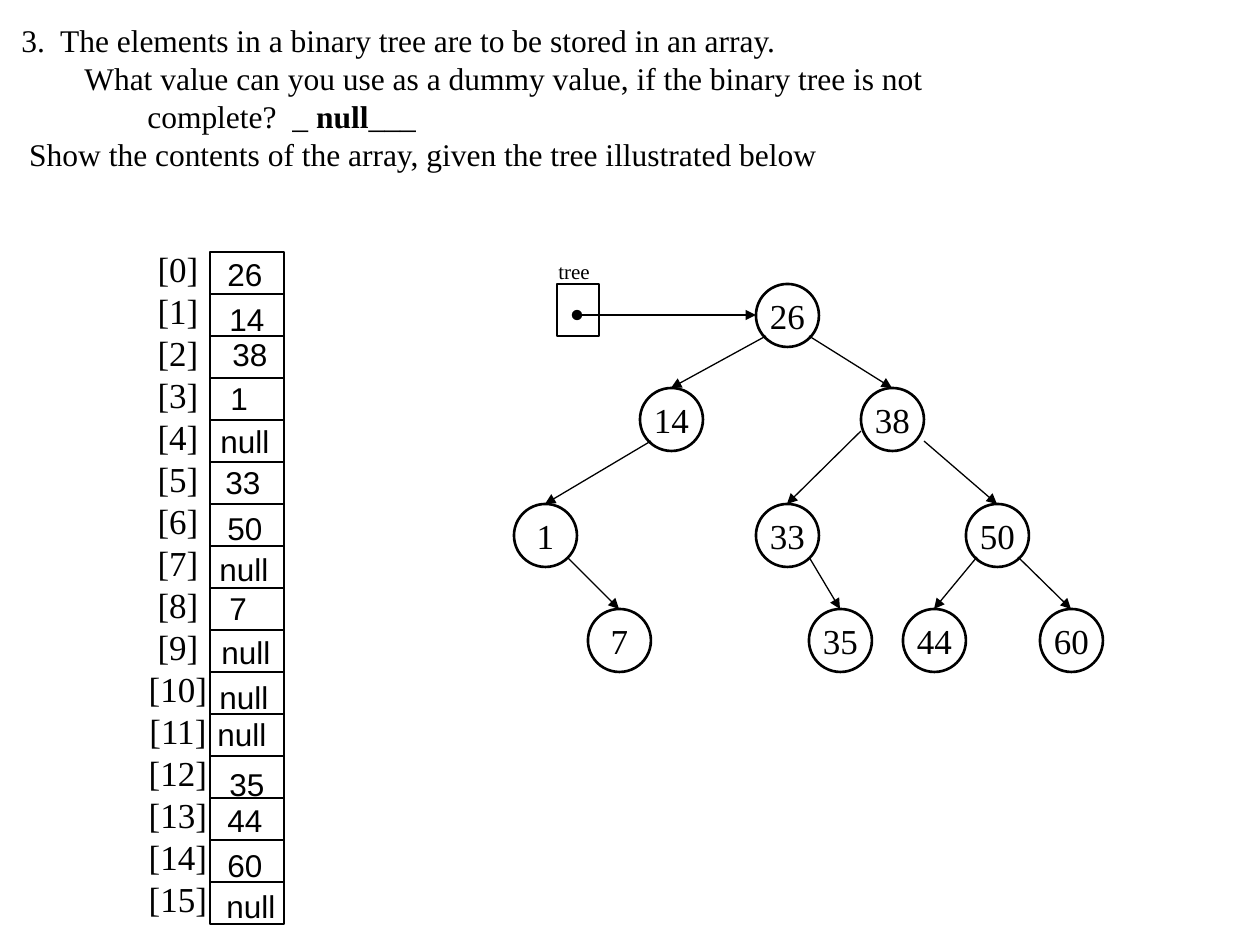
from lxml import etree
from pptx import Presentation
from pptx.dml.color import RGBColor
from pptx.enum.shapes import MSO_CONNECTOR, MSO_SHAPE
from pptx.enum.text import MSO_ANCHOR, PP_ALIGN
from pptx.oxml.ns import qn
from pptx.util import Emu, Inches, Pt

SCALE = 914400 / 126
COLORS = {"ink": "000000"}
SERIF, SANS = "Times New Roman", "Arial"


def px(length):
    """Turn pixels into EMU."""
    return Emu(round(length * SCALE))


class TreeSlide:
    """Style and drawing methods for one slide."""

    def __init__(self, slide):
        """Start drawing straight on the slide."""
        self.slide = slide
        self.shapes = slide.shapes
        self.ink = RGBColor.from_string(COLORS["ink"])

    def start_group(self):
        """Send the next elements into a new group."""
        self.shapes = self.slide.shapes.add_group_shape().shapes

    def end_group(self):
        """Send the next elements to the slide again."""
        self.shapes = self.slide.shapes

    def style(self, paragraph, size, font=SERIF, align=PP_ALIGN.LEFT):
        """Set the font and alignment of a paragraph."""
        paragraph.font.size = Pt(size)
        paragraph.font.name = font
        paragraph.font.color.rgb = self.ink
        paragraph.alignment = align

    def text(self, box, lines, size, font=SERIF, align=PP_ALIGN.LEFT, wrap=False):
        """Add a text box; each line is a list of (text, bold) runs."""
        frame = self.shapes.add_textbox(*map(px, box)).text_frame
        frame.word_wrap = wrap
        for index, runs in enumerate(lines):
            paragraph = frame.add_paragraph() if index else frame.paragraphs[0]
            self.style(paragraph, size, font, align)
            if len(lines) > 1:
                paragraph.line_spacing = Pt(size * 1.2)
            for content, bold in runs:
                run = paragraph.add_run()
                run.text = content
                if bold:
                    run.font.bold = True
        return frame

    def outline(self, kind, box, width, label=""):
        """Add an unfilled shape with an optional centred label."""
        shape = self.shapes.add_shape(kind, *map(px, box))
        shape.shadow.inherit = False
        shape.fill.background()
        shape.line.color.rgb = self.ink
        shape.line.width = Pt(width)
        if label:
            frame = shape.text_frame
            frame.word_wrap = False
            frame.vertical_anchor = MSO_ANCHOR.MIDDLE
            frame.text = label
            self.style(frame.paragraphs[0], 20, align=PP_ALIGN.CENTER)

    def line(self, start, end, head=None, tail=None):
        """Add a straight line with optional end marks."""
        connector = self.shapes.add_connector(
            MSO_CONNECTOR.STRAIGHT, *map(px, (*start, *end)))
        connector.line.color.rgb = self.ink
        connector.line.width = Pt(0.75)
        properties = connector.line._get_or_add_ln()
        for tag, mark in (("a:headEnd", head), ("a:tailEnd", tail)):
            if mark:
                etree.SubElement(properties, qn(tag)).set("type", mark)
        etree.SubElement(connector._element.spPr, qn("a:effectLst"))


QUESTION = [
    [("3.  The elements in a binary tree are to be stored in an array.", False)],
    [("What value can you use as a dummy value, if the binary tree is not", False)],
    [("complete?  _ ", False), ("null", True), ("___", False)],
    [(" Show the contents of the array, given the tree illustrated below", False)],
]
# Left margin of each question line, in inches
MARGINS = [None, 0.88, 1.38, 0.38]
HANGING = -0.38

NODE = 63
NODES = {
    "26": (756, 284), "14": (640, 388), "38": (861, 388), "1": (514, 504),
    "7": (588, 609), "33": (756, 504), "50": (966, 504), "35": (809, 609),
    "44": (903, 609), "60": (1040, 609),
}
# Start point of each arrow and the child it points at
BRANCHES = [
    (766, 336, "14"), (809, 336, "38"), (651, 441, "1"), (861, 431, "33"),
    (567, 557, "7"), (924, 441, "50"), (809, 557, "35"), (977, 557, "44"),
    (1018, 557, "60"),
]

ARRAY_LEFT, ARRAY_TOP, ARRAY_WIDTH, ROW = 210, 252, 74, 42
# Content of each array element with the left and top of its text box
VALUES = [
    ("26", 215, 249), ("14", 217, 294), ("38", 220, 329), ("1", 218, 373),
    ("null", 208, 416), ("33", 213, 457), ("50", 215, 503), ("null", 207, 544),
    ("7", 217, 583), ("null", 209, 627), ("null", 207, 672), ("null", 205, 709),
    ("35", 217, 759), ("44", 215, 795), ("60", 215, 840), ("null", 214, 881),
]


def draw_question(page):
    """Write the question with its hanging indents."""
    frame = page.text((9, 15, 944, 165), QUESTION, 18)
    for level, (paragraph, margin) in enumerate(zip(frame.paragraphs, MARGINS)):
        if margin is not None:
            paragraph.level = level % 3
            properties = paragraph._p.get_or_add_pPr()
            properties.set("marL", str(Inches(margin)))
            properties.set("indent", str(Inches(HANGING)))


def draw_tree(page):
    """Draw the nodes, the branches and the root reference."""
    for label, (left, top) in NODES.items():
        page.outline(MSO_SHAPE.OVAL, (left, top, NODE, NODE), 1.5, label)
    for x, y, child in BRANCHES:
        left, top = NODES[child]
        page.line((x, y), (left + NODE // 2, top), tail="triangle")
    page.outline(MSO_SHAPE.RECTANGLE, (557, 284, 42, 52), 0.75)
    page.line((577, 315), (756, 315), head="oval", tail="triangle")
    page.text((546, 252, 57, 38), [[("tree", False)]], 12)


def draw_array(page):
    """Draw the array cells, their indexes and their values."""
    count = len(VALUES)
    page.start_group()
    page.outline(MSO_SHAPE.RECTANGLE,
                 (ARRAY_LEFT, ARRAY_TOP, ARRAY_WIDTH, count * ROW), 0.75)
    indexes = [[(f"[{index}]", False)] for index in range(count)]
    page.text((128, 241, 100, 684), indexes, 20, align=PP_ALIGN.CENTER)
    for index in range(count):
        y = ARRAY_TOP + index * ROW
        page.line((ARRAY_LEFT, y), (ARRAY_LEFT + ARRAY_WIDTH, y))
    page.end_group()
    for value, left, top in VALUES:
        width = 86 if value == "null" else 73
        page.text((left, top, width, 50), [[(value, False)]], 18, SANS, wrap=True)


def main():
    """Build and save the slide."""
    presentation = Presentation()
    presentation.slide_width = px(1260)
    presentation.slide_height = px(945)
    page = TreeSlide(presentation.slides.add_slide(presentation.slide_layouts[6]))
    draw_question(page)
    draw_tree(page)
    draw_array(page)
    presentation.save("out.pptx")


main()
